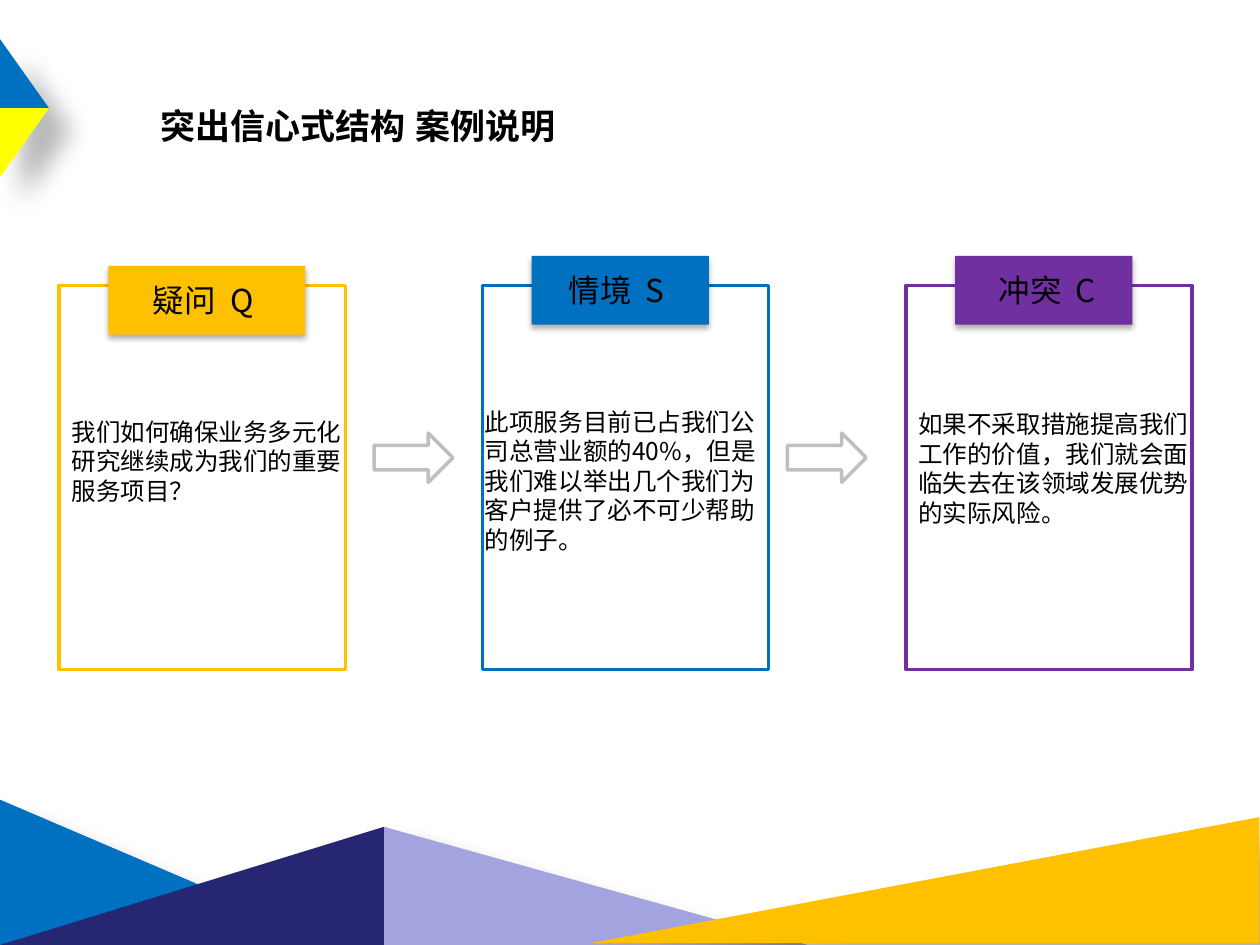
"""Build the question, situation and conflict case slide."""
import pptx
import pptx.dml.color
import pptx.enum.shapes
import pptx.enum.text
import pptx.oxml
import pptx.oxml.ns
import pptx.util
import lxml.etree

Pt = pptx.util.Pt
MSO = pptx.enum.shapes.MSO_SHAPE
qn = pptx.oxml.ns.qn
THEME = {
    "blue": "0070C0", "navy": "262673", "lilac": "A3A3E0", "gold": "FFC000",
    "yellow": "FFFF00", "purple": "7030A0", "grey": "BFBFBF", "black": "000000",
    "title": 20, "label": 18, "body": 14, "latin": "Arial", "cjk": "Noto Sans CJK SC",
}
SCENERY_SHADOW = (30, 15, 18, 45)
LABEL_SHADOW = (32, 3.5, 2.2, 90)

deck = pptx.Presentation()
deck.slide_width, deck.slide_height = Pt(720), Pt(540)
slide = deck.slides.add_slide(deck.slide_layouts[6])


def add_block(kind, box, fill=None, line=None, shadow=None):
    block = slide.shapes.add_shape(kind, *map(Pt, box))
    block.shadow.inherit = False
    if fill:
        block.fill.solid()
        block.fill.fore_color.rgb = pptx.dml.color.RGBColor.from_string(THEME[fill])
    else:
        block.fill.background()
    if line:
        block.line.color.rgb = pptx.dml.color.RGBColor.from_string(THEME[line])
        block.line.width = Pt(2)
    else:
        block.line.fill.background()
    if shadow:
        opacity, blur, distance, angle = shadow
        effects = block._element.spPr.find(qn("a:effectLst"))
        outer = lxml.etree.SubElement(
            effects, qn("a:outerShdw"), blurRad=str(int(Pt(blur))),
            dist=str(int(Pt(distance))), dir=str(angle * 60000),
            algn="ctr", rotWithShape="0")
        tint = lxml.etree.SubElement(outer, qn("a:srgbClr"), val=THEME["black"])
        lxml.etree.SubElement(tint, qn("a:alpha"), val=str(opacity * 1000))
    return block


def add_words(frame, words, size, font, bold=False):
    run = frame.paragraphs[0].add_run()
    run.text = words
    run.font.size = Pt(THEME[size])
    run.font.name = THEME[font]
    run.font.bold = bold
    run.font.color.rgb = pptx.dml.color.RGBColor.from_string(THEME["black"])
    lxml.etree.SubElement(run.font._element, qn("a:ea"), typeface=THEME[font])


scenery = [
    (MSO.ISOSCELES_TRIANGLE, (8.64, 447.84, 105.84, 123.84), "blue", 90, False),
    (MSO.ISOSCELES_TRIANGLE, (0, 472.5, 438.5, 67.5), "navy", 0, False),
    (MSO.RIGHT_TRIANGLE, (219.5, 472.5, 242, 67.5), "lilac", 0, False),
    (MSO.RIGHT_TRIANGLE, (492.5, 311.8, 72, 382.3), "gold", 270, False),
    (MSO.RIGHT_TRIANGLE, (0, 22.3, 28, 39.5), "blue", 0, False),
    (MSO.RIGHT_TRIANGLE, (0, 61.8, 28, 39.5), "yellow", 180, True),
]
for kind, box, colour, angle, mirrored in scenery:
    peak = add_block(kind, box, fill=colour, shadow=SCENERY_SHADOW)
    peak.rotation = angle
    if mirrored:
        peak._element.spPr.find(qn("a:xfrm")).set("flipH", "1")

title = slide.shapes.add_textbox(Pt(84.4), Pt(56.2), Pt(242), Pt(31.5)).text_frame
title.word_wrap = False
add_words(title, "突出信心式结构 案例说明", "title", "latin", bold=True)

cards = [
    ("gold", "疑问  Q", (61.9, 151.9, 112.5), (-4, "cjk"),
     "我们如何确保业务多元化研究继续成为我们的重要服务项目？", (33.8, 234.7, 58.3), "latin"),
    ("blue", "情境  S", (303.8, 146.2, 101.3), (-4, "cjk"),
     "此项服务目前已占我们公司总营业额的40%，但是我们难以举出几个我们为客户提供了必不可少帮助的例子。",
     (270, 229, 92.2), "cjk"),
    ("purple", "冲突  C", (545.8, 146.2, 101.3), (4, "cjk"),
     "如果不采取措施提高我们工作的价值，我们就会面临失去在该领域发展优势的实际风险。",
     (517.7, 230.4, 74.9), "cjk"),
]
for column, (colour, heading, label_at, (nudge, label_font), story, story_at, font) in enumerate(cards):
    add_block(MSO.RECTANGLE, (33.8 + 241.9 * column, 163.2, 163.6, 219.4), line=colour)

    left, top, width = label_at
    label = add_block(MSO.RECTANGLE, (left, top, width, 39.4), fill=colour,
                      shadow=LABEL_SHADOW).text_frame
    label.margin_left = Pt(7.2 + max(nudge, 0))
    label.margin_right = Pt(7.2 + max(-nudge, 0))
    label.vertical_anchor = pptx.enum.text.MSO_ANCHOR.MIDDLE
    label.paragraphs[0].alignment = pptx.enum.text.PP_ALIGN.CENTER
    add_words(label, heading, "label", label_font)

    left, top, height = story_at
    body = slide.shapes.add_textbox(Pt(left), Pt(top), Pt(174.2), Pt(height)).text_frame
    body.word_wrap = True
    add_words(body, story, "body", font)

for arrow_left in (213.8, 450):
    add_block(MSO.RIGHT_ARROW, (arrow_left, 247.5, 45, 28.1), line="grey")

deck.save("out.pptx")
